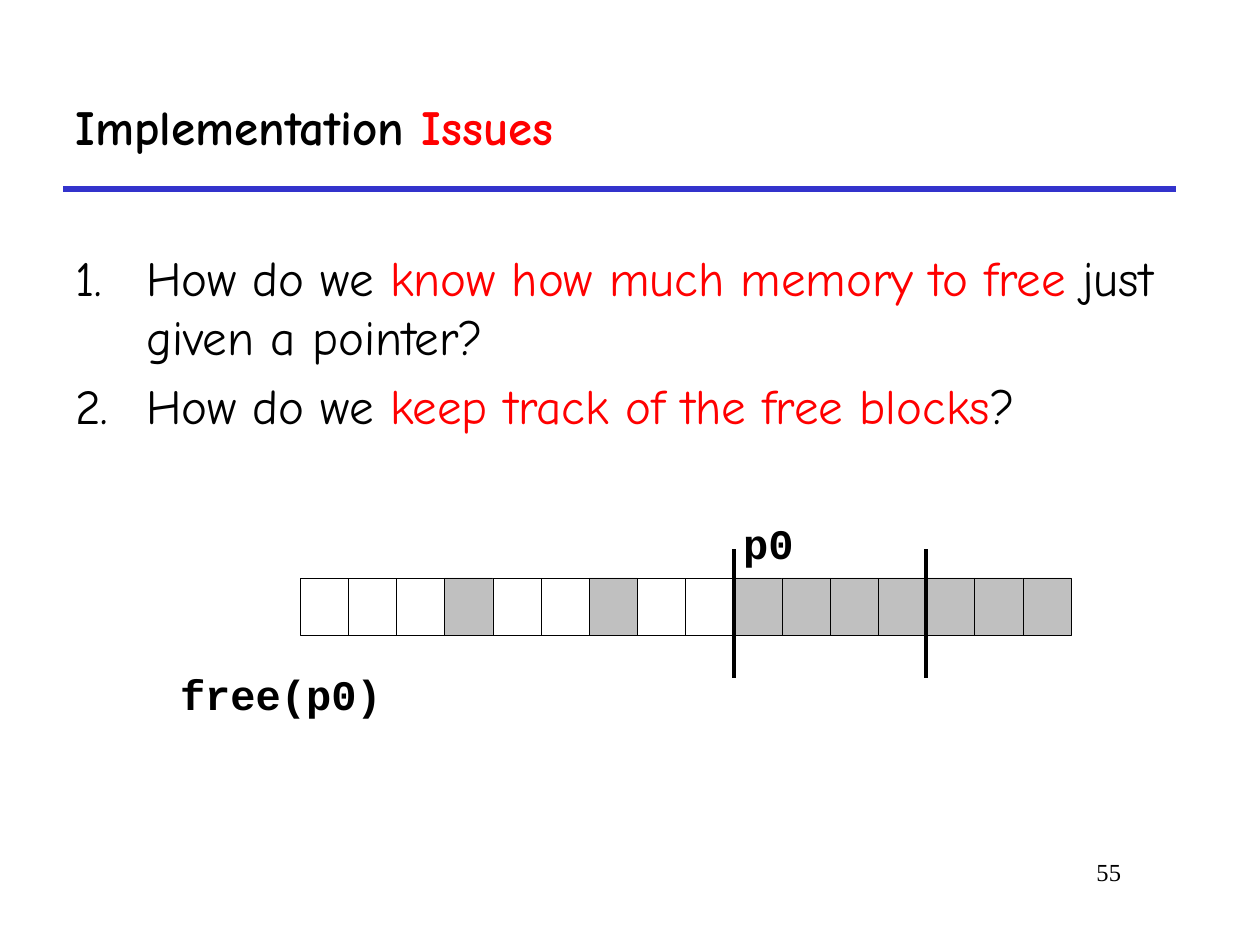
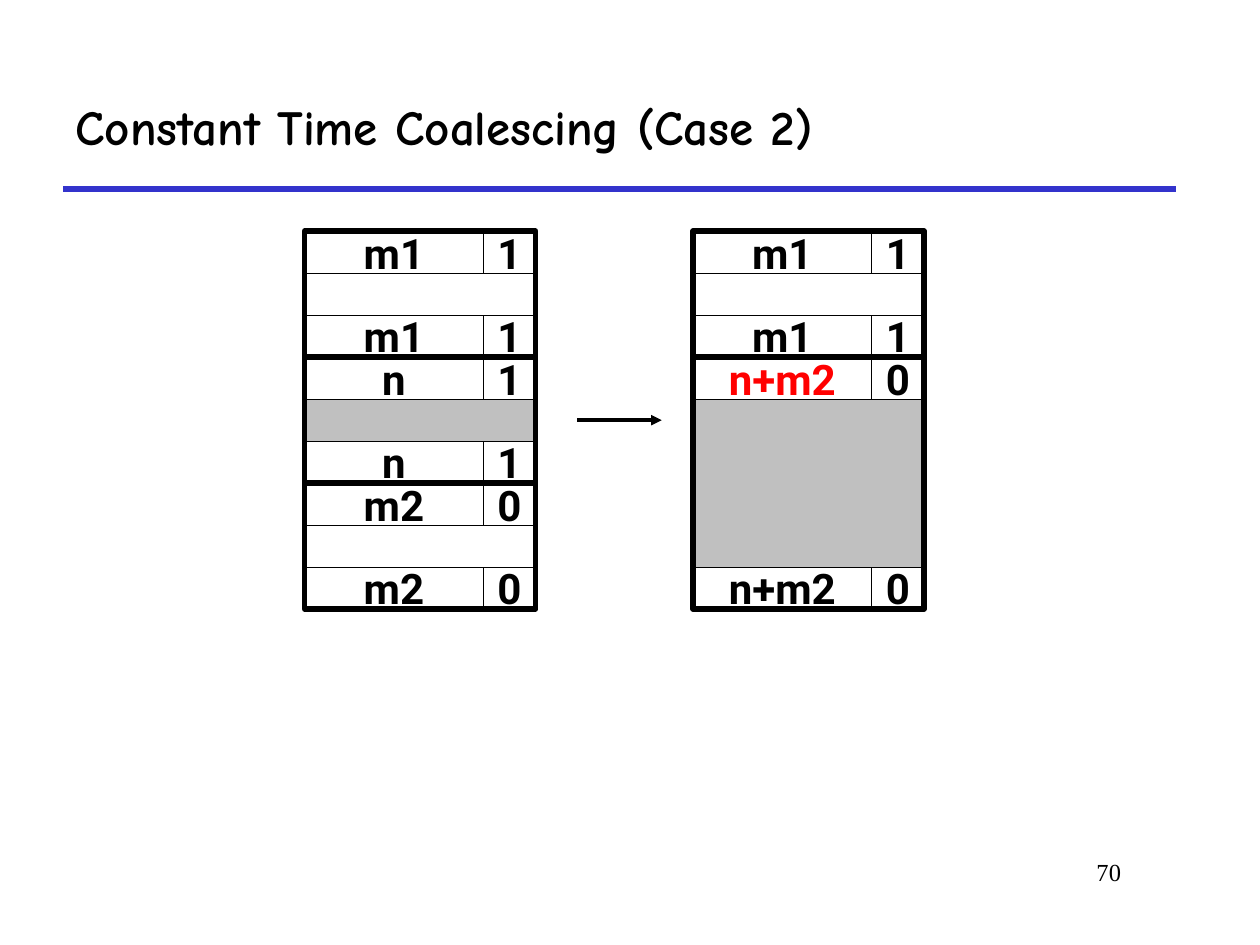
import pptx
import pptx.util
import pptx.dml.color
import pptx.enum.shapes
import pptx.enum.text
import pptx.oxml.ns
from lxml import etree

Cm, Pt = pptx.util.Cm, pptx.util.Pt
ALIGN = pptx.enum.text.PP_ALIGN
ANCHOR = pptx.enum.text.MSO_ANCHOR
HUES = {"ink": "000000", "mark": "FF0000", "rule": "3333CC",
        "free": "FFFFFF", "used": "C0C0C0"}
HAND, CODE, SANS, SERIF = "Comic Neue", "Courier New", "Roboto", "Times New Roman"
THIN, THICK = 0.25, 3


def hue(name):
    return pptx.dml.color.RGBColor.from_string(HUES[name])


def child(node, tag, **attrs):
    return etree.SubElement(node, pptx.oxml.ns.qn(tag), attrs)


def write(frame, *texts, font=HAND, size=28, bold=False, align=ALIGN.LEFT,
          anchor=ANCHOR.TOP, wrap=True, count=False):
    """Fill a frame, one paragraph per text; parts after an odd "|" are red."""
    frame.auto_size = pptx.enum.text.MSO_AUTO_SIZE.NONE
    frame.word_wrap = wrap
    frame.vertical_anchor = anchor
    for i, text in enumerate(texts):
        par = frame.add_paragraph() if i else frame.paragraphs[0]
        par.alignment = align
        if count:
            props = par._p.get_or_add_pPr()
            props.set("marL", str(Cm(1.43)))
            props.set("indent", str(-Cm(1.43)))
            child(props, "a:buAutoNum", type="arabicPeriod")
        if i:
            par.space_before = Pt(size * 0.2)
        for j, part in enumerate(text.split("|")):
            if part:
                run = par.add_run()
                run.text = part
                run.font.name, run.font.size, run.font.bold = font, Pt(size), bold
                run.font.color.rgb = hue("mark" if j % 2 else "ink")


def label(slide, left, top, width, height, *texts, **form):
    box = slide.shapes.add_textbox(Cm(left), Cm(top), Cm(width), Cm(height))
    write(box.text_frame, *texts, **form)


def cell(slide, left, top, width, height, fill=None, line=THIN, text=None):
    """Draw one rectangle, with centred text if any."""
    rect = slide.shapes.add_shape(pptx.enum.shapes.MSO_SHAPE.RECTANGLE,
                                  Cm(left), Cm(top), Cm(width), Cm(height))
    rect.shadow.inherit = False
    if fill:
        rect.fill.solid()
        rect.fill.fore_color.rgb = hue(fill)
    else:
        rect.fill.background()
    rect.line.color.rgb = hue("ink")
    rect.line.width = Pt(line)
    if text:
        write(rect.text_frame, text, font=SANS, size=24, bold=True,
              align=ALIGN.CENTER, anchor=ANCHOR.MIDDLE, wrap=False)


def rule(slide, x1, y1, x2, y2, color="ink", width=2.25, arrow=False):
    line = slide.shapes.add_connector(pptx.enum.shapes.MSO_CONNECTOR.STRAIGHT,
                                      Cm(x1), Cm(y1), Cm(x2), Cm(y2))
    line.line.color.rgb = hue(color)
    line.line.width = Pt(width)
    if arrow:
        child(line.line._get_or_add_ln(), "a:tailEnd", type="triangle")
    child(line._element.spPr, "a:effectLst")


def start(deck, title, number):
    """Add a slide with its title, blue rule and page number."""
    slide = deck.slides.add_slide(deck.slide_layouts[5])
    rule(slide, 1.27, 3.81, 23.7, 3.81, color="rule", width=3)
    label(slide, 19.25, 17.15, 3.6, 1.27, str(number),
          font=SERIF, size=14, align=ALIGN.RIGHT)
    head = slide.shapes.title
    head.left, head.top, head.width, head.height = map(Cm, (1.27, 1.27, 22.43, 2.54))
    write(head.text_frame, title, bold=True, anchor=ANCHOR.MIDDLE)
    return slide


def strip(slide, left, top, width, height, plan, bars):
    """Draw a row of memory words; "#" is used. Bars stand at word edges."""
    step = width / len(plan)
    for i, mark in enumerate(plan):
        cell(slide, left + i * step, top, step, height,
             "used" if mark == "#" else "free")
    for i in bars:
        x = left + i * step
        rule(slide, x, top - 0.58, x, top + height + 0.86)


def stack(slide, left, top, width, height, blocks):
    """Draw heap blocks: header row, payload, footer row, thick frame."""
    row = height / sum(block[0] for block in blocks)
    split = width * 0.773
    for rows, header, footer, flag, fill in blocks:
        tall = rows * row
        cell(slide, left, top + row, width, tall - 2 * row, fill)
        for y, tag in ((top, header), (top + tall - row, footer)):
            cell(slide, left, y, split, row, "free", text=tag)
            cell(slide, left + split, y, width - split, row, "free", text=flag)
        cell(slide, left, top, width, tall, line=THICK)
        top += tall


def issues(deck):
    slide = start(deck, "Implementation |Issues", 55)
    label(slide, 1.27, 4.87, 22.43, 4.65,
          "How do we |know how much memory to free| just given a pointer?",
          "How do we |keep track of the free blocks|?", count=True)
    code = dict(font=CODE, size=24, bold=True, wrap=False)
    label(slide, 14.73, 10.31, 1.55, 1.3, "p0", **code)
    label(slide, 3.38, 13.36, 4.62, 1.3, "free(p0)", **code)
    strip(slide, 6.05, 11.65, 15.54, 1.15, "...#..#..#######", (9, 13))


def merge(deck):
    slide = start(deck, "Constant Time Coalescing (Case 2)", 70)
    first = (3, "m1", "m1", "1", "free")
    before = [first, (3, "n", "n", "1", "used"), (3, "m2", "m2", "0", "free")]
    after = [first, (6, "|n+m2", "n+m2", "0", "used")]
    for left, blocks in ((6.14, before), (13.97, after)):
        stack(slide, left, 4.66, 4.66, 7.62, blocks)
    rule(slide, 11.64, 8.47, 13.34, 8.47, width=2, arrow=True)


def main():
    deck = pptx.Presentation()
    deck.slide_width, deck.slide_height = Cm(25.4), Cm(19.05)
    issues(deck)
    merge(deck)
    deck.save("out.pptx")


if __name__ == "__main__":
    main()
